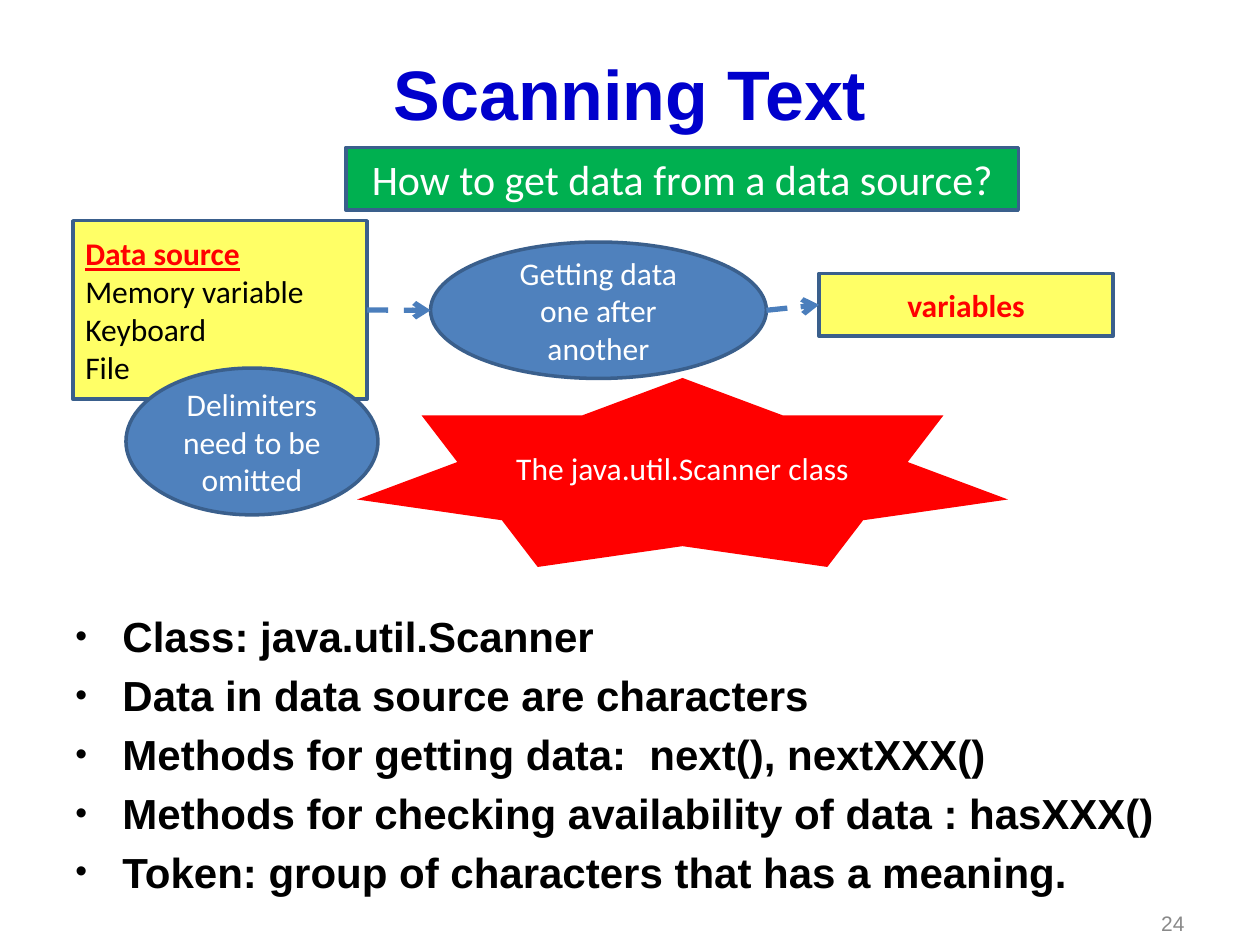
from dataclasses import dataclass

from lxml.etree import SubElement
from pptx import Presentation
from pptx.dml.color import RGBColor
from pptx.enum.dml import MSO_LINE
from pptx.enum.shapes import MSO_CONNECTOR, MSO_SHAPE as Preset
from pptx.enum.text import MSO_ANCHOR as Anchor, PP_ALIGN as Align
from pptx.oxml.ns import qn
from pptx.util import Cm, Pt


@dataclass(frozen=True)
class Theme:
    title: str = "0000CC"
    black: str = "000000"
    white: str = "FFFFFF"
    red: str = "FF0000"
    yellow: str = "FFFF66"
    green: str = "00B050"
    blue: str = "4F81BD"
    outline: str = "3A5F8C"
    arrow: str = "4B7EBC"
    grey: str = "898989"
    heading_font: str = "Arial"
    diagram_font: str = "Calibri"
    title_size: int = 40
    large_size: int = 24
    label_size: int = 18
    number_size: int = 12


@dataclass(frozen=True)
class Box:
    left: float
    top: float
    width: float
    height: float

    def inside(self, left, top, width, height):
        return Box(self.left + left, self.top + top, width, height)

    def lengths(self):
        return Cm(self.left), Cm(self.top), Cm(self.width), Cm(self.height)


THEME = Theme()


def rgb(value):
    return RGBColor.from_string(value)


def format_paragraph(paragraph, font, size, color, bold=False, align=Align.LEFT):
    paragraph.alignment = align
    for run in paragraph.runs:
        run.font.name = font
        run.font.size = Pt(size)
        run.font.bold = bold
        run.font.color.rgb = rgb(color)


def add_text_box(slide, box, text, anchor):
    text_frame = slide.shapes.add_textbox(*box.lengths()).text_frame
    text_frame.word_wrap = True
    text_frame.vertical_anchor = anchor
    text_frame.text = text
    return text_frame


def add_title(slide, box, text):
    title = slide.shapes.title
    title.left, title.top, title.width, title.height = box.lengths()
    title.text_frame.text = text
    title.text_frame.vertical_anchor = Anchor.MIDDLE
    format_paragraph(title.text_frame.paragraphs[0], THEME.heading_font,
                     THEME.title_size, THEME.title, True, Align.CENTER)


def add_label(slide, box, preset, text, fill, color=THEME.white,
              size=THEME.label_size, bold=False, align=Align.CENTER, outlined=True):
    shape = slide.shapes.add_shape(preset, *box.lengths())
    shape.shadow.inherit = False
    shape.fill.solid()
    shape.fill.fore_color.rgb = rgb(fill)
    if outlined:
        shape.line.color.rgb = rgb(THEME.outline)
        shape.line.width = Pt(2)
    else:
        shape.line.fill.background()
    text_frame = shape.text_frame
    text_frame.word_wrap = True
    text_frame.vertical_anchor = Anchor.MIDDLE
    text_frame.text = text
    for paragraph in text_frame.paragraphs:
        format_paragraph(paragraph, THEME.diagram_font, size, color, bold, align)
    return shape


def add_arrow(slide, source, target):
    connector = slide.shapes.add_connector(
        MSO_CONNECTOR.STRAIGHT,
        source.left + source.width, source.top + source.height // 2,
        target.left, target.top + target.height // 2)
    line = connector.line
    line.color.rgb = rgb(THEME.arrow)
    line.width = Pt(3)
    line.dash_style = MSO_LINE.DASH
    SubElement(line._get_or_add_ln(), qn("a:tailEnd"), type="arrow")
    SubElement(connector._element.spPr, qn("a:effectLst"))


def add_diagram(slide, box):
    source = add_label(slide, box.inside(0, 1.48, 5.93, 3.6), Preset.RECTANGLE,
                       "Data source\nMemory variable\nKeyboard\nFile",
                       THEME.yellow, THEME.black, align=Align.LEFT)
    heading = source.text_frame.paragraphs[0].runs[0].font
    heading.bold = heading.underline = True
    heading.color.rgb = rgb(THEME.red)
    variables = add_label(slide, box.inside(15.04, 2.54, 5.93, 1.27), Preset.RECTANGLE,
                          "variables", THEME.yellow, THEME.red, bold=True)
    getting = add_label(slide, box.inside(7.21, 1.91, 6.77, 2.75), Preset.OVAL,
                        "Getting data one after another", THEME.blue)
    add_arrow(slide, source, getting)
    add_arrow(slide, getting, variables)
    add_label(slide, box.inside(5.73, 4.65, 13.12, 3.81), Preset.STAR_7_POINT,
              "The java.util.Scanner class", THEME.red, outlined=False)
    add_label(slide, box.inside(1.07, 4.45, 5.08, 2.96), Preset.OVAL,
              "Delimiters need to be omitted", THEME.blue)
    add_label(slide, box.inside(5.51, 0, 13.55, 1.27), Preset.RECTANGLE,
              "How to get data from a data source?", THEME.green, size=THEME.large_size)


def add_bullet(paragraph):
    properties = paragraph._p.get_or_add_pPr()
    indent = Cm(0.95)
    properties.set("marL", str(indent))
    properties.set("indent", str(-indent))
    spacing = SubElement(properties, qn("a:spcBef"))
    SubElement(spacing, qn("a:spcPct"), val="20000")
    color = SubElement(properties, qn("a:buClr"))
    SubElement(color, qn("a:srgbClr"), val=THEME.black)
    SubElement(properties, qn("a:buSzPct"), val="80000")
    SubElement(properties, qn("a:buFont"), typeface=THEME.heading_font)
    SubElement(properties, qn("a:buChar"), char="•")


def add_bullets(slide, box, lines):
    text_frame = add_text_box(slide, box, "\n".join(lines), Anchor.TOP)
    for paragraph in text_frame.paragraphs:
        format_paragraph(paragraph, THEME.heading_font, THEME.large_size, THEME.black, True)
        add_bullet(paragraph)


def add_slide_number(slide, box, number):
    text_frame = add_text_box(slide, box, number, Anchor.MIDDLE)
    format_paragraph(text_frame.paragraphs[0], THEME.heading_font,
                     THEME.number_size, THEME.grey, align=Align.RIGHT)


def main():
    presentation = Presentation()
    presentation.slide_width, presentation.slide_height = Cm(25.4), Cm(19.05)
    slide = presentation.slides.add_slide(presentation.slide_layouts.get_by_name("Title Only"))
    add_title(slide, Box(1.27, 0.76, 22.86, 2.21), "Scanning Text")
    add_bullets(slide, Box(1.27, 12.19, 22.86, 6.22), [
        "Class: java.util.Scanner",
        "Data in data source are characters",
        "Methods for getting data:  next(), nextXXX()",
        "Methods for checking availability of data : hasXXX()",
        "Token: group of characters that has a meaning.",
    ])
    add_diagram(slide, Box(1.47, 2.97, 20.97, 8.46))
    add_slide_number(slide, Box(22.02, 18.16, 2.11, 0.89), "24")
    presentation.save("out.pptx")


main()
